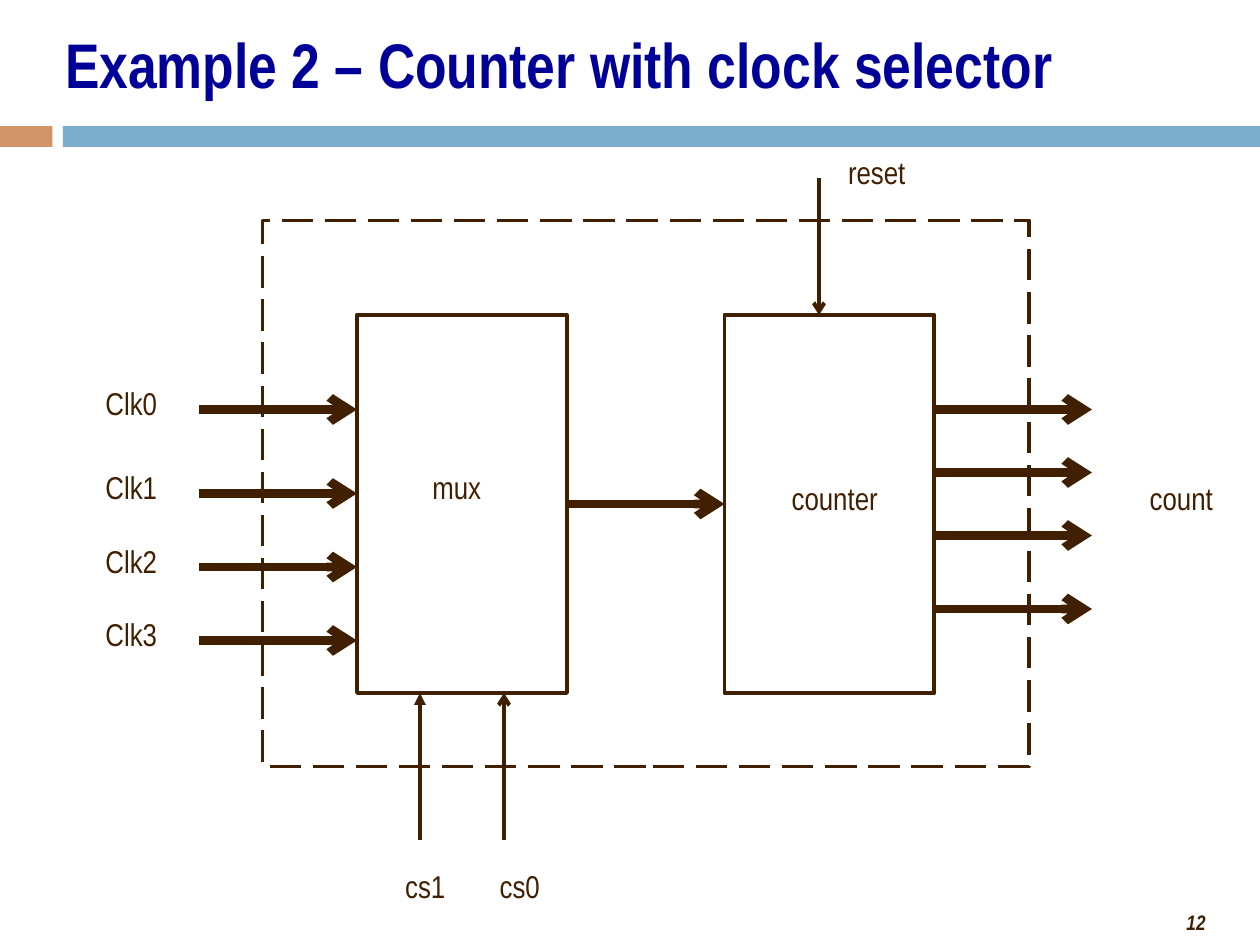
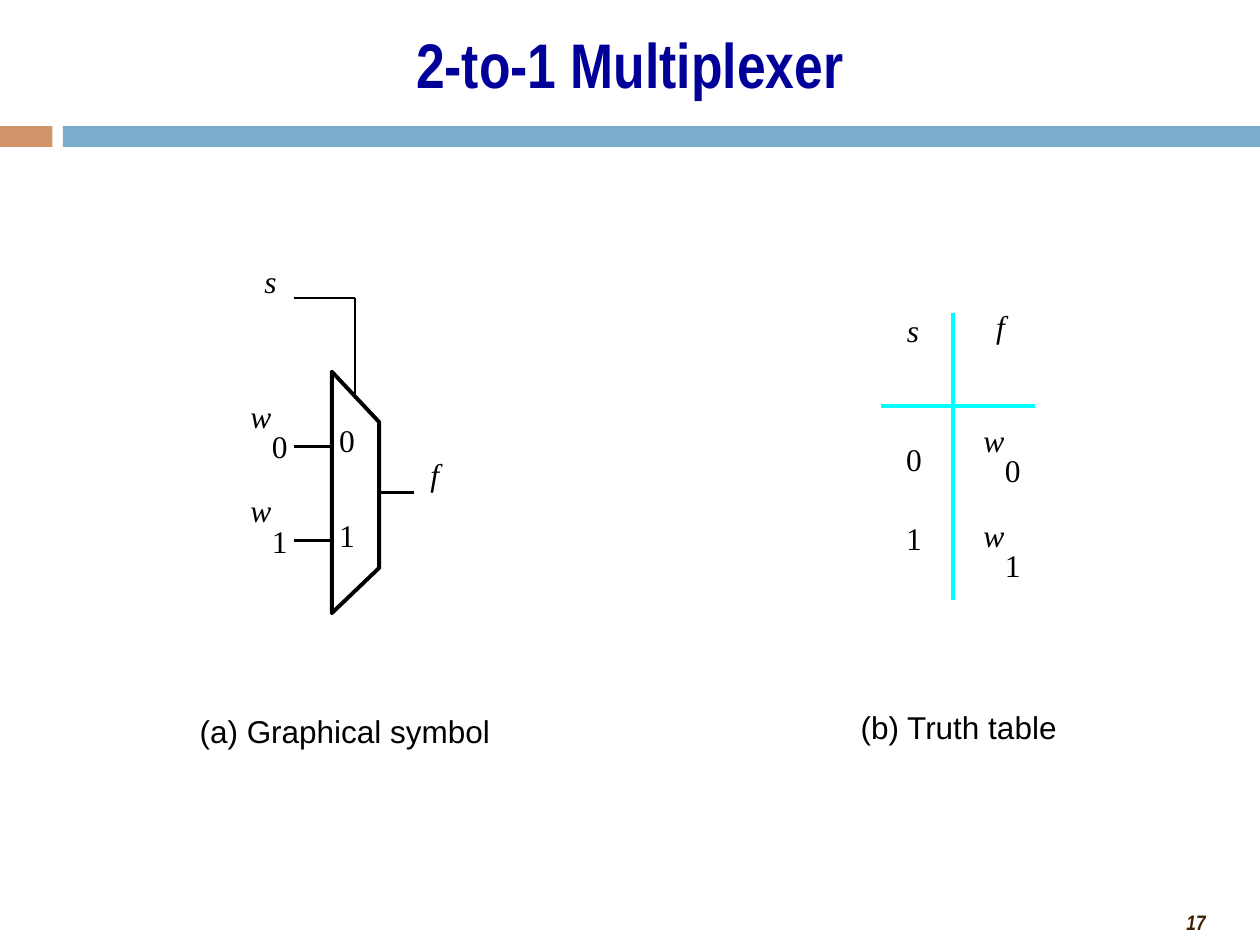
"""Build two slides on a clock-selected counter and a 2-to-1 multiplexer."""
from dataclasses import dataclass

from lxml import etree
from pptx import Presentation
from pptx.dml.color import RGBColor
from pptx.enum.dml import MSO_LINE
from pptx.enum.shapes import MSO_CONNECTOR, MSO_SHAPE
from pptx.enum.text import MSO_ANCHOR, MSO_AUTO_SIZE, PP_ALIGN
from pptx.oxml.ns import qn
from pptx.util import Inches, Pt

RECTANGLE = MSO_SHAPE.RECTANGLE
STRAIGHT = MSO_CONNECTOR.STRAIGHT
LONG_DASH = MSO_LINE.LONG_DASH
LEFT, CENTER, RIGHT = PP_ALIGN.LEFT, PP_ALIGN.CENTER, PP_ALIGN.RIGHT
MIDDLE = MSO_ANCHOR.MIDDLE
NO_FIT, GROW = MSO_AUTO_SIZE.NONE, MSO_AUTO_SIZE.SHAPE_TO_FIT_TEXT
LEFT_SIDE, RIGHT_SIDE = 1, 3

COLUMNS, ROWS = 120, 90
CELL = Inches(10) // COLUMNS
GLYPH_COLUMNS = {"f": 1, "s": 1.3, "w": 2.1, "0": 1.7, "1": 1.7}
CHANNEL_PITCH = 9


@dataclass(frozen=True)
class Theme:
    """Colours, fonts, type sizes and line widths of the slides."""
    title: str = "000099"
    brown: str = "402000"
    orange: str = "CF9467"
    blue: str = "7AADCC"
    cyan: str = "00FFFF"
    black: str = "000000"
    narrow: str = "Arial Narrow"
    sans: str = "Arial"
    serif: str = "Times New Roman"
    title_size: float = 36
    text_size: float = 18
    number_size: float = 12
    bus: float = 5
    outline: float = 2.25
    wire: float = 1.5


THEME = Theme()


def grid(*cells):
    """Convert grid cells to lengths on the slide."""
    return [round(cell * CELL) for cell in cells]


def format_text(frame, text, font=THEME.narrow, size=THEME.text_size,
                color=THEME.brown, align=CENTER, bold=False, italic=False):
    """Fill a text frame with one formatted paragraph."""
    paragraph = frame.paragraphs[0]
    paragraph.alignment = align
    run = paragraph.add_run()
    run.text = text
    run.font.name = font
    run.font.size = Pt(size)
    run.font.color.rgb = RGBColor.from_string(color)
    run.font.bold = bold
    run.font.italic = italic


def add_text(slide, text, left, top, width, height=3.6, wrap=True, inset=True, **style):
    """Add a text box placed on the grid."""
    frame = slide.shapes.add_textbox(*grid(left, top, width, height)).text_frame
    frame.word_wrap = wrap
    frame.auto_size = GROW
    if not inset:
        frame.margin_left = frame.margin_right = 0
        frame.margin_top = frame.margin_bottom = 0
    format_text(frame, text, **style)


def add_label(slide, text, left, top):
    """Add a signal or block label of the counter diagram."""
    add_text(slide, text, left, top, 15, 4.8)


def add_symbol(slide, text, left, top):
    """Add a mathematical symbol, with letters in italics."""
    add_text(slide, text, left, top, GLYPH_COLUMNS[text], wrap=False, inset=False,
             font=THEME.serif, color=THEME.black, italic=text.isalpha())


def add_data_input(slide, index, left, top):
    """Add the letter w with its lowered index."""
    add_symbol(slide, "w", left, top)
    add_symbol(slide, index, left + 2, top + 2.9)


def add_caption(slide, text, left, top, width):
    """Add the caption under a figure."""
    add_text(slide, text, left, top, width, wrap=False, inset=False,
             font=THEME.sans, color=THEME.black)


def outline(shape, color, dash=None):
    """Give a shape an outline without fill."""
    shape.shadow.inherit = False
    shape.fill.background()
    shape.line.color.rgb = RGBColor.from_string(color)
    shape.line.width = Pt(THEME.outline)
    if dash:
        shape.line.dash_style = dash


def add_block(slide, left, top, width, height, dash=None):
    """Add an outlined rectangle of the counter diagram."""
    block = slide.shapes.add_shape(RECTANGLE, *grid(left, top, width, height))
    outline(block, THEME.brown, dash)
    return block


def add_band(slide, left, width, color):
    """Add a filled band under the title."""
    band = slide.shapes.add_shape(RECTANGLE, *grid(left, 12, width, 2))
    band.shadow.inherit = False
    band.fill.solid()
    band.fill.fore_color.rgb = RGBColor.from_string(color)
    band.line.fill.background()


def add_line(slide, start, end, color=THEME.black, width=THEME.wire, head=None):
    """Add a straight line, with an arrowhead at its end if one is named."""
    line = slide.shapes.add_connector(STRAIGHT, *grid(*start, *end))
    line.line.color.rgb = RGBColor.from_string(color)
    line.line.width = Pt(width)
    if head:
        etree.SubElement(line.line._get_or_add_ln(), qn("a:tailEnd"), type=head)
    etree.SubElement(line._element.spPr, qn("a:effectLst"))
    return line


def add_arrow(slide, start, end, width=THEME.bus, head="arrow"):
    """Add a signal arrow of the counter diagram."""
    return add_line(slide, start, end, THEME.brown, width, head)


def add_slide(deck, title, number, title_top, align):
    """Add a slide with its title, bands and slide number."""
    slide = deck.slides.add_slide(deck.slide_layouts[5])
    heading = slide.shapes.title
    heading.left, heading.top, heading.width, heading.height = grid(
        5, title_top, 110, 12 - 2 * title_top)
    heading.text_frame.auto_size = NO_FIT
    heading.text_frame.vertical_anchor = MIDDLE
    format_text(heading.text_frame, title, size=THEME.title_size,
                color=THEME.title, align=align, bold=True)
    add_band(slide, 0, 5, THEME.orange)
    add_band(slide, 6, COLUMNS - 6, THEME.blue)
    add_text(slide, number, 90, 86, 26, size=THEME.number_size,
             align=RIGHT, bold=True, italic=True)
    return slide


def build_counter(deck):
    """Draw the counter fed by a clock multiplexer."""
    slide = add_slide(deck, "Example 2 – Counter with clock selector", "12", 1, LEFT)
    mux, counter = (add_block(slide, left, 30, 20, 36) for left in (34, 69))
    for index, row in enumerate((39, 47, 54, 61)):
        add_arrow(slide, (19, row), (34, row))
        add_label(slide, f"Clk{index}", 5, row - 3)
    selected_clock = add_arrow(slide, (54, 48), (69, 48))
    selected_clock.begin_connect(mux, RIGHT_SIDE)
    selected_clock.end_connect(counter, LEFT_SIDE)
    for row in (39, 45, 51, 58):
        add_arrow(slide, (89, row), (104, row))
    add_block(slide, 25, 21, 73, 52, LONG_DASH)
    for name, column, label_left, head in (("cs1", 40, 33, "triangle"),
                                           ("cs0", 48, 42, "arrow")):
        add_arrow(slide, (column, 80), (column, 66), THEME.outline, head)
        add_label(slide, name, label_left, 82)
    add_arrow(slide, (78, 17), (78, 30), THEME.outline)
    for name, left, top in (("count", 105, 45), ("reset", 76, 14),
                            ("mux", 36, 44), ("counter", 72, 45)):
        add_label(slide, name, left, top)


def draw_symbol(slide):
    """Draw the graphical symbol of the multiplexer."""
    for channel, index in enumerate("01"):
        drop = channel * CHANNEL_PITCH
        add_line(slide, (28, 42.5 + drop), (31.6, 42.5 + drop))
        add_data_input(slide, index, 23.8, 37.8 + drop)
        add_symbol(slide, index, 32.2, 40.1 + drop)
    add_line(slide, (39.4, 46.9), (36.1, 46.9))
    add_line(slide, (33.8, 28.4), (33.8, 38))
    add_line(slide, (28, 28.4), (33.8, 28.4))
    add_symbol(slide, "f", 40.9, 43.3)
    add_symbol(slide, "s", 25.1, 25)
    corners = [grid(*corner) for corner in
               ((36.1, 54.1), (36.1, 40.2), (31.6, 35.4), (31.6, 58.4))]
    body = slide.shapes.build_freeform(*corners[0])
    body.add_line_segments(corners[1:], close=True)
    outline(body.convert_to_shape(), THEME.black)
    add_caption(slide, "(a) Graphical symbol", 19, 67.8, 27.7)


def draw_truth_table(slide):
    """Draw the truth table around its two rules."""
    for start, end in (((98.6, 38.7), (83.9, 38.7)), ((90.8, 57.1), (90.8, 29.8))):
        add_line(slide, start, end, THEME.cyan, THEME.outline)
    add_symbol(slide, "s", 86.3, 29.6)
    add_symbol(slide, "f", 94.8, 29.2)
    for channel, index in enumerate("01"):
        add_symbol(slide, index, 86.2, 41.9 + channel * 7.5)
        add_data_input(slide, index, 93.6, 40.1 + channel * CHANNEL_PITCH)
    add_caption(slide, "(b) Truth table", 81.6, 67.4, 19.4)


def build_multiplexer(deck):
    """Show the multiplexer as a symbol and as a truth table."""
    slide = add_slide(deck, "2-to-1 Multiplexer", "17", 0, CENTER)
    draw_symbol(slide)
    draw_truth_table(slide)


def main():
    """Build and save the presentation."""
    deck = Presentation()
    deck.slide_width, deck.slide_height = grid(COLUMNS, ROWS)
    build_counter(deck)
    build_multiplexer(deck)
    deck.save("out.pptx")


if __name__ == "__main__":
    main()
